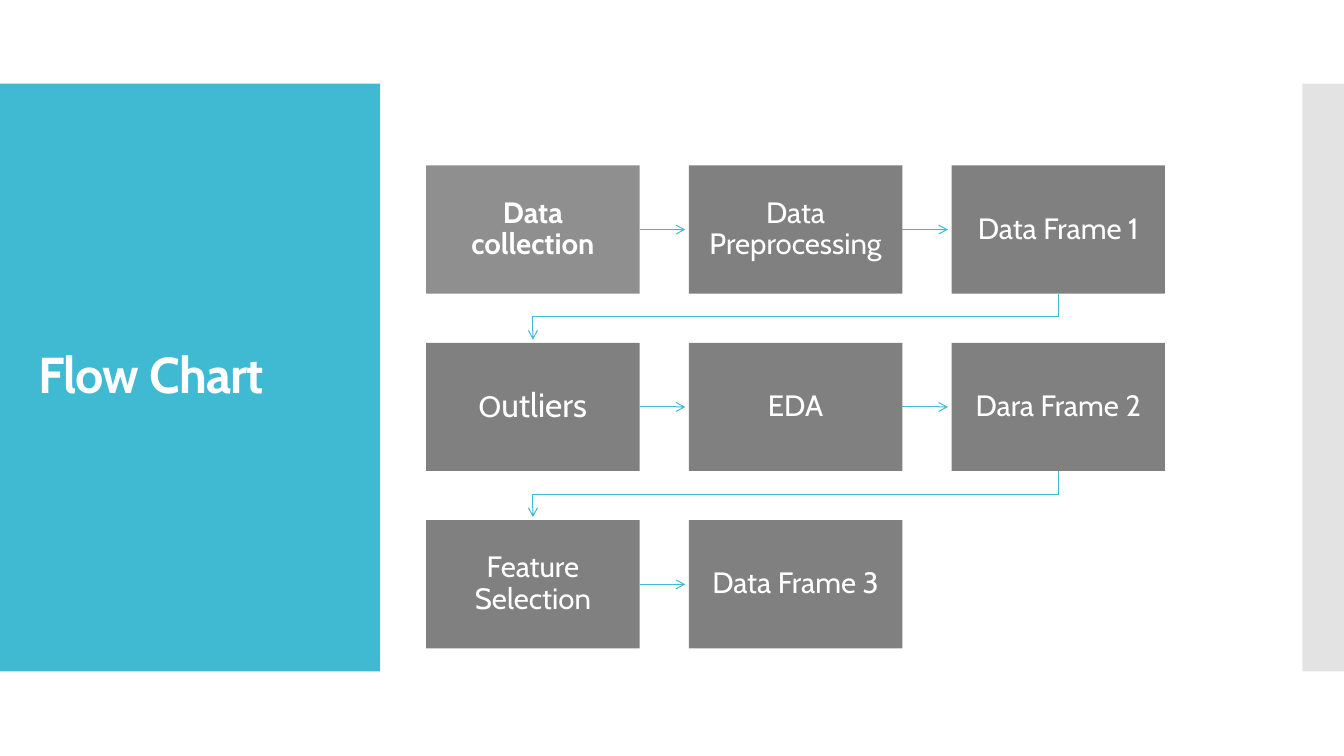
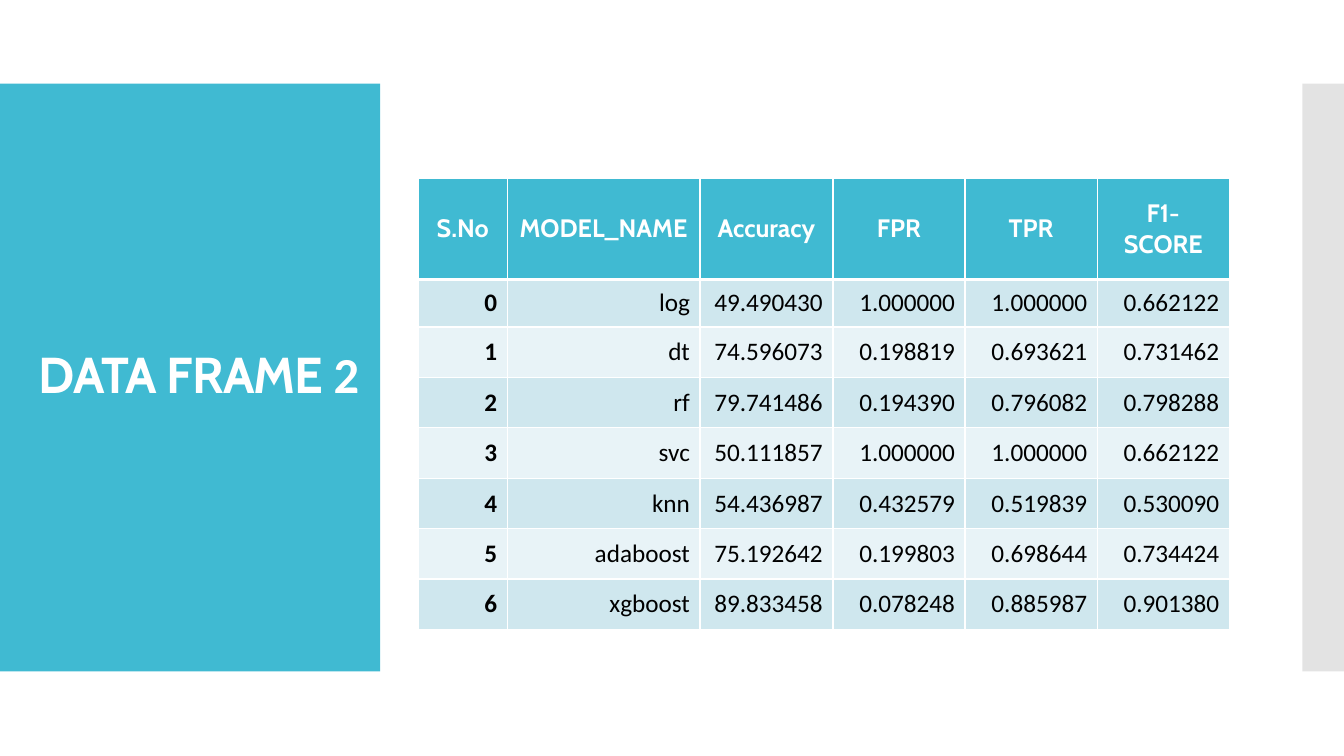
"""Build a flow chart slide and a model score table slide."""
from lxml.etree import SubElement
from pptx import Presentation
from pptx.dml.color import RGBColor
from pptx.enum.shapes import MSO_CONNECTOR, MSO_SHAPE
from pptx.enum.text import MSO_ANCHOR, MSO_AUTO_SIZE, PP_ALIGN
from pptx.oxml.ns import qn
from pptx.util import Cm, Pt

TEAL, GREY, LIGHT_GREY = "40BAD2", "808080", "8F8F8F"
WHITE, BLACK, PALE_GREY = "FFFFFF", "000000", "C8C8C8"
STRIPES = ["E8F3F7", "CFE7EE"]


def color(code):
    return RGBColor.from_string(code)


def write(paragraph, text, font="Cabin", size=18, ink=WHITE, bold=False,
          align=PP_ALIGN.LEFT, line=1.0, tracking=0):
    paragraph.alignment = align
    paragraph.line_spacing = line
    run = paragraph.add_run()
    run.text = text
    run.font.name = font
    run.font.size = Pt(size)
    run.font.bold = bold
    run.font.color.rgb = color(ink)
    if tracking:
        run.font._element.set("spc", str(tracking))


prs = Presentation()
prs.slide_width, prs.slide_height = Cm(33.87), Cm(19.05)
layout = prs.slide_layouts[5]
flow_slide = prs.slides.add_slide(layout)
score_slide = prs.slides.add_slide(layout)

for left, width, fill, alpha in [(0, 9.58, TEAL, 100), (32.82, 1.05, PALE_GREY, 50)]:
    band = flow_slide.shapes.add_shape(
        MSO_SHAPE.RECTANGLE, Cm(left), Cm(2.11), Cm(width), Cm(14.81))
    band.shadow.inherit = False
    band.line.fill.background()
    band.fill.solid()
    band.fill.fore_color.rgb = color(fill)
    tint = band.element.spPr.find(qn("a:solidFill"))[0]
    SubElement(tint, qn("a:alpha")).set("val", str(alpha * 1000))
    layout.shapes.element.insert(2, band.element)

titles = [
    (flow_slide, 8.18, [("Flow Chart", "Cabin")]),
    (score_slide, 8.84, [("DATA FRAME ", "Cabin"), ("2", "Calibri")]),
]
for slide, width, parts in titles:
    title = slide.shapes.title
    title.left, title.top, title.width, title.height = Cm(0.71), Cm(3.12), Cm(width), Cm(12.78)
    title.text_frame.vertical_anchor = MSO_ANCHOR.MIDDLE
    title.text_frame.auto_size = MSO_AUTO_SIZE.NONE
    title.text_frame.word_wrap = True
    for text, font in parts:
        write(title.text_frame.paragraphs[0], text, font=font, size=36,
              bold=True, line=0.9, tracking=-60)

STEP_LEFT, STEP_TOP, STEP_WIDTH, STEP_HEIGHT = 10.74, 4.17, 5.38, 3.23
COLUMN_PITCH, ROW_PITCH, COLUMNS = 6.62, 4.47, 3
ARROW_LENGTH, TURN_HEIGHT = 1.15, 1.16
step_names = ["Data collection", "Data Preprocessing", "Data Frame 1", "Outliers",
              "EDA", "Dara Frame 2", "Feature Selection", "Data Frame 3"]
arrows = []
for index, name in enumerate(step_names):
    row, column = divmod(index, COLUMNS)
    left = STEP_LEFT + column * COLUMN_PITCH
    top = STEP_TOP + row * ROW_PITCH
    first = index == 0
    step = flow_slide.shapes.add_shape(
        MSO_SHAPE.RECTANGLE, Cm(left), Cm(top), Cm(STEP_WIDTH), Cm(STEP_HEIGHT))
    step.shadow.inherit = False
    step.line.fill.background()
    step.fill.solid()
    step.fill.fore_color.rgb = color(LIGHT_GREY if first else GREY)
    frame = step.text_frame
    frame.word_wrap = True
    frame.vertical_anchor = MSO_ANCHOR.MIDDLE
    frame.margin_left = frame.margin_right = Cm(0.4)
    frame.margin_top = frame.margin_bottom = Cm(0.4)
    parts = [("O", 21), ("utliers", 24)] if name == "Outliers" else [(name, 21)]
    for text, size in parts:
        write(frame.paragraphs[0], text, size=size, bold=first,
              align=PP_ALIGN.CENTER, line=0.9)

    if index == len(step_names) - 1:
        continue
    if column < COLUMNS - 1:
        start, middle = left + STEP_WIDTH, top + STEP_HEIGHT / 2
        arrow = flow_slide.shapes.add_connector(
            MSO_CONNECTOR.STRAIGHT, Cm(start), Cm(middle), Cm(start + ARROW_LENGTH), Cm(middle))
        arrow.begin_connect(step, 3)
    else:
        span = column * COLUMN_PITCH
        center_x = left + STEP_WIDTH / 2 - span / 2
        center_y = top + STEP_HEIGHT + TURN_HEIGHT / 2
        arrow = flow_slide.shapes.add_connector(
            MSO_CONNECTOR.ELBOW,
            Cm(center_x - TURN_HEIGHT / 2), Cm(center_y - span / 2),
            Cm(center_x + TURN_HEIGHT / 2), Cm(center_y + span / 2))
        arrow.element.spPr.find(qn("a:xfrm")).set("rot", "5400000")
    arrows.append(arrow)

for arrow in arrows:
    arrow.line.color.rgb = color(TEAL)
    arrow.line.width = Pt(0.75)
    SubElement(arrow.line._get_or_add_ln(), qn("a:tailEnd")).set("type", "arrow")
    SubElement(arrow.element.spPr, qn("a:effectLst"))

score_rows = [
    ["S.No", "MODEL_NAME", "Accuracy", "FPR", "TPR", "F1-SCORE"],
    ["0", "log", "49.490430", "1.000000", "1.000000", "0.662122"],
    ["1", "dt", "74.596073", "0.198819", "0.693621", "0.731462"],
    ["2", "rf", "79.741486", "0.194390", "0.796082", "0.798288"],
    ["3", "svc", "50.111857", "1.000000", "1.000000", "0.662122"],
    ["4", "knn", "54.436987", "0.432579", "0.519839", "0.530090"],
    ["5", "adaboost", "75.192642", "0.199803", "0.698644", "0.734424"],
    ["6", "xgboost", "89.833458", "0.078248", "0.885987", "0.901380"],
]
column_widths = [2.24, 4.86, 3.35, 3.33, 3.33, 3.33]
row_heights = [2.54, 1.2] + [1.27] * 6
scores = score_slide.shapes.add_table(
    len(score_rows), len(column_widths), Cm(10.54), Cm(4.5),
    Cm(sum(column_widths)), Cm(sum(row_heights))).table
for column, width in zip(scores.columns, column_widths):
    column.width = Cm(width)
for row, height in zip(scores.rows, row_heights):
    row.height = Cm(height)

for r, values in enumerate(score_rows):
    header = r == 0
    for c, value in enumerate(values):
        cell = scores.cell(r, c)
        cell.vertical_anchor = MSO_ANCHOR.MIDDLE
        for side in ["L", "R", "T", "B"]:
            heavy = (r, side) in [(0, "B"), (1, "T")]
            border = SubElement(cell._tc.get_or_add_tcPr(), qn(f"a:ln{side}"))
            border.set("w", str(Pt(3 if heavy else 1)))
            SubElement(SubElement(border, qn("a:solidFill")), qn("a:srgbClr")).set("val", WHITE)
        cell.fill.solid()
        cell.fill.fore_color.rgb = color(TEAL if header else STRIPES[r % 2])
        write(cell.text_frame.paragraphs[0], value,
              font="Cabin" if header else "Calibri",
              ink=WHITE if header else BLACK,
              bold=header or c == 0,
              align=PP_ALIGN.CENTER if header else PP_ALIGN.RIGHT)

prs.save("out.pptx")
